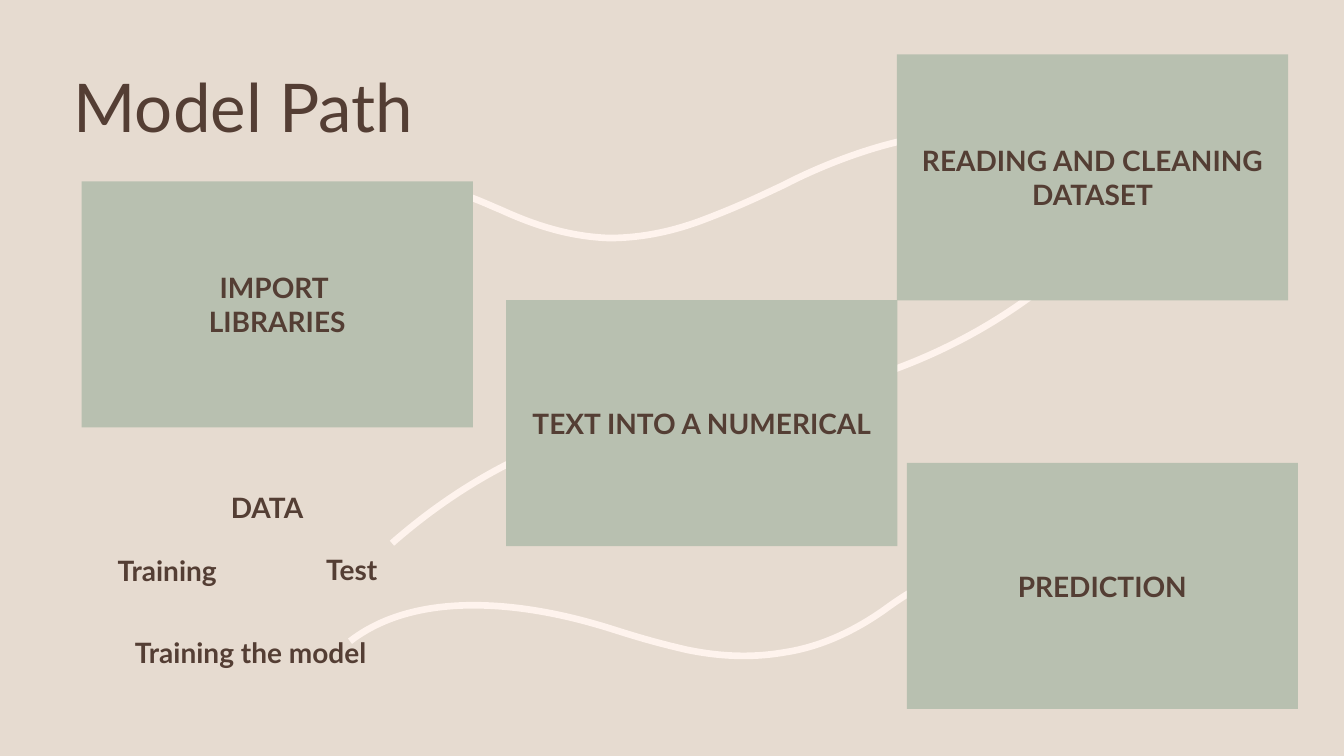
from math import cos, radians, sin
from typing import NamedTuple

from lxml.etree import SubElement
from pptx import Presentation
from pptx.dml.color import RGBColor
from pptx.enum.shapes import MSO_SHAPE
from pptx.enum.text import MSO_ANCHOR, MSO_AUTO_SIZE, PP_ALIGN
from pptx.oxml.ns import qn
from pptx.shapes.shapetree import SlideShapes
from pptx.text.text import TextFrame
from pptx.util import Pt

SAND = RGBColor(0xE6, 0xDB, 0xD0)
CREAM = RGBColor(0xFE, 0xF3, 0xED)
SAGE = RGBColor(0xB8, 0xC0, 0xB0)
BROWN = RGBColor(0x54, 0x3E, 0x34)

FONT = "Lato"
BOX_W, BOX_H = 279.4, 175.7
LABEL_H = 31.7

Point = tuple[float, float]


class Curve(NamedTuple):
    angle: float
    knots: list[Point]


class Box(NamedTuple):
    text: str
    left: float
    top: float


class Label(NamedTuple):
    text: str
    left: float
    top: float
    width: float


CURVES = [
    Curve(321, [(600, 276), (657, 261), (709, 235), (754, 198)]),
    Curve(343, [(420, 308), (366, 325), (320, 353), (280, 388)]),
    Curve(176, [(221, 161), (252, 135), (287, 127), (323, 137),
                (336, 140), (346, 145), (358, 150),
                (382, 161), (407, 169), (435, 170),
                (459, 170), (482, 165), (505, 156),
                (531, 146), (545, 139), (560, 132),
                (577, 123), (677, 74), (739, 105)]),
    Curve(175, [(662, 417), (651, 422), (642, 428), (631, 436),
                (611, 450), (587, 462), (560, 466),
                (537, 470), (514, 469), (490, 464),
                (464, 458), (449, 453), (433, 448),
                (416, 443), (312, 410), (250, 458)]),
]

BOXES = [
    Box("IMPORT \nLIBRARIES", 58.3, 129.6),
    Box("READING AND CLEANING\nDATASET", 640.7, 38.9),
    Box("TEXT INTO A NUMERICAL", 361.6, 214.4),
    Box("PREDICTION", 647.7, 330.7),
]

LABELS = [
    Label("Training", 76.9, 391.9, 116.6),
    Label("DATA", 157.8, 347, 89.3),
    Label("Test", 225.9, 391.4, 89.3),
    Label("Training the model", 89.3, 450.4, 239.8),
]


def style(frame: TextFrame, size: float, bold: bool, align: PP_ALIGN) -> None:
    for para in frame.paragraphs:
        para.alignment = align
        for run in para.runs:
            run.font.name = FONT
            run.font.size = Pt(size)
            run.font.bold = bold
            run.font.color.rgb = BROWN


def turn(point: Point, angle: float) -> Point:
    x, y = point
    c, s = cos(radians(angle)), sin(radians(angle))
    return x * c - y * s, x * s + y * c


def draw_curve(shapes: SlideShapes, curve: Curve) -> None:
    flat = [turn(knot, -curve.angle) for knot in curve.knots]
    dots = [(Pt(x), Pt(y)) for x, y in flat]
    pen = shapes.build_freeform(*dots[0])
    pen.add_line_segments(dots[1:], close=False)
    shape = pen.convert_to_shape()

    lines = list(shape.element.iter(qn("a:lnTo")))
    for i in range(0, len(lines), 3):
        cubic = SubElement(lines[i].getparent(), qn("a:cubicBezTo"))
        for line in lines[i:i + 3]:
            cubic.append(line[0])
            line.getparent().remove(line)

    xs, ys = zip(*flat)
    mid = (min(xs) + max(xs)) / 2, (min(ys) + max(ys)) / 2
    x, y = turn(mid, curve.angle)
    shape.left = Pt(x) - shape.width // 2
    shape.top = Pt(y) - shape.height // 2
    shape.rotation = curve.angle
    shape.shadow.inherit = False
    shape.fill.background()
    shape.line.color.rgb = CREAM
    shape.line.width = Pt(4.75)


def draw_box(shapes: SlideShapes, box: Box) -> None:
    shape = shapes.add_shape(MSO_SHAPE.RECTANGLE, Pt(box.left), Pt(box.top),
                             Pt(BOX_W), Pt(BOX_H))
    shape.shadow.inherit = False
    shape.fill.solid()
    shape.fill.fore_color.rgb = SAGE
    shape.line.fill.background()
    frame = shape.text_frame
    frame.text = box.text
    frame.word_wrap = True
    frame.vertical_anchor = MSO_ANCHOR.MIDDLE
    style(frame, 20, True, PP_ALIGN.CENTER)


def draw_label(shapes: SlideShapes, label: Label) -> None:
    shape = shapes.add_textbox(Pt(label.left), Pt(label.top),
                               Pt(label.width), Pt(LABEL_H))
    frame = shape.text_frame
    frame.text = label.text
    frame.word_wrap = True
    frame.auto_size = MSO_AUTO_SIZE.SHAPE_TO_FIT_TEXT
    style(frame, 20, True, PP_ALIGN.LEFT)


def draw_title(shapes: SlideShapes, text: str) -> None:
    title = shapes.title
    title.left, title.top = Pt(45.4), Pt(6.5)
    title.width, title.height = Pt(596.2), Pt(102.2)
    frame = title.text_frame
    frame.text = text
    frame.word_wrap = True
    frame.auto_size = MSO_AUTO_SIZE.NONE
    frame.vertical_anchor = MSO_ANCHOR.BOTTOM
    frame.paragraphs[0].line_spacing = 0.9
    style(frame, 48, False, PP_ALIGN.LEFT)


def main() -> None:
    deck = Presentation()
    deck.slide_width, deck.slide_height = Pt(960), Pt(540)
    slide = deck.slides.add_slide(deck.slide_layouts[5])
    slide.background.fill.solid()
    slide.background.fill.fore_color.rgb = SAND
    draw_title(slide.shapes, "Model Path")
    for curve in CURVES:
        draw_curve(slide.shapes, curve)
    for box in BOXES:
        draw_box(slide.shapes, box)
    for label in LABELS:
        draw_label(slide.shapes, label)
    deck.save("out.pptx")


if __name__ == "__main__":
    main()
